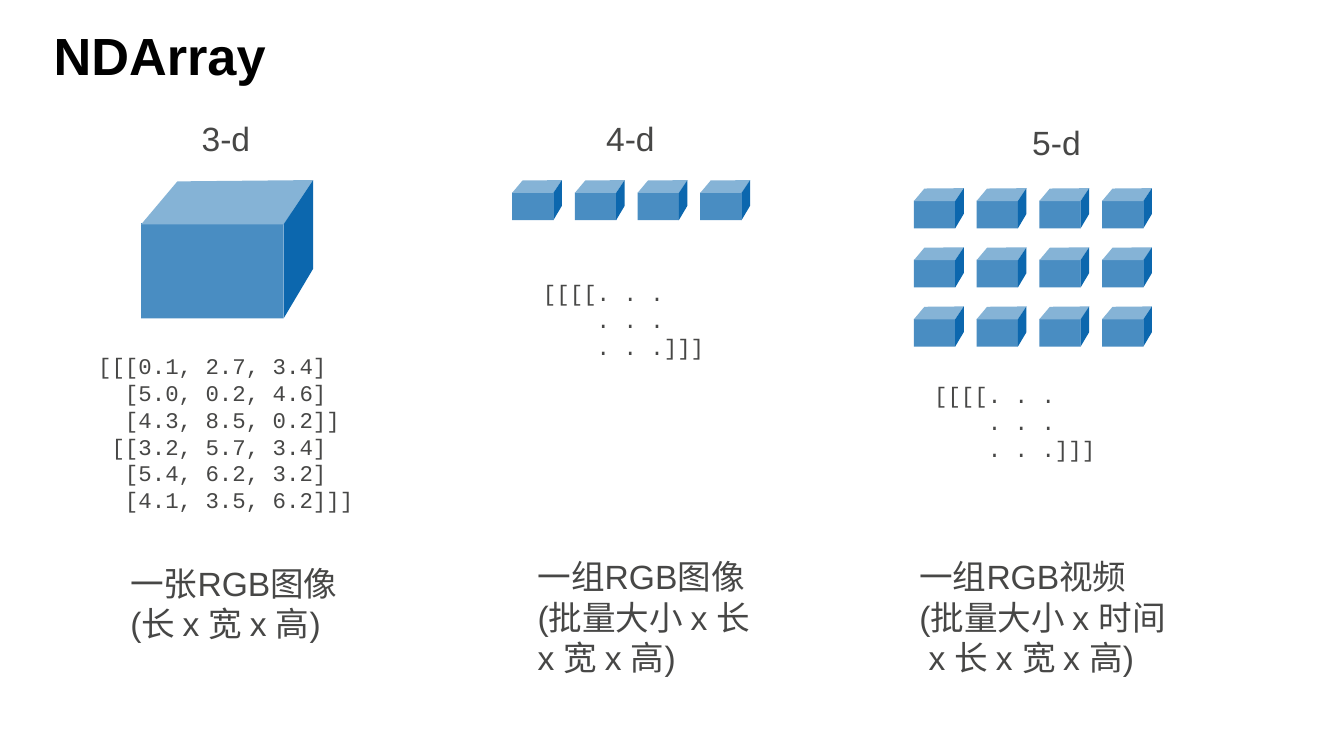
from pptx import Presentation as Deck
from pptx.dml.color import RGBColor as Rgb
from pptx.enum.shapes import MSO_SHAPE as Kind
from pptx.enum.text import MSO_ANCHOR as Anchor, MSO_AUTO_SIZE as Fit
from pptx.util import Inches, Pt


def color(code):
    return Rgb.from_string(code)


class Page:
    ink = "474746"
    front = "498DC2"
    top = "85B3D6"
    side = "0C67AE"
    sans = "Arial"
    mono = "Courier New"

    def __init__(self, slide):
        self.slide = slide

    def text(self, box, lines, size=18, font=sans, ink=ink, bold=False, wrap=False):
        frame = self.slide.shapes.add_textbox(*map(Inches, box)).text_frame
        frame.word_wrap = wrap
        frame.auto_size = Fit.NONE
        frame.margin_left = frame.margin_right = Inches(0.05)
        frame.margin_top = frame.margin_bottom = Inches(0.05)
        for i, line in enumerate(lines):
            para = frame.add_paragraph() if i else frame.paragraphs[0]
            run = para.add_run()
            run.text = line
            run.font.size = Pt(size)
            run.font.name = font
            run.font.bold = bold
            run.font.color.rgb = color(ink)
        return frame

    def title(self, box, words):
        frame = self.text(box, [words], 28, ink="000000", bold=True, wrap=True)
        frame.vertical_anchor = Anchor.MIDDLE

    def label(self, left, top, words):
        self.text((left, top, 0.48, 0.38), [words])

    def code(self, box, lines):
        self.text(box, lines, 12, self.mono)

    def note(self, box, lines):
        self.text(box, lines, wrap=True)

    def paint(self, shape, fill):
        shape.shadow.inherit = False
        shape.fill.solid()
        shape.fill.fore_color.rgb = color(fill)
        shape.line.fill.background()

    def face(self, group, points, fill):
        dots = [(Inches(x), Inches(y)) for x, y in points]
        path = group.shapes.build_freeform(*dots[0])
        path.add_line_segments(dots[1:], close=True)
        self.paint(path.convert_to_shape(), fill)

    def cube(self, group, left, top, scale):
        def spot(x, y):
            return left + x * scale, top + y * scale

        size = Inches(1.06 * scale), Inches(0.71 * scale)
        rect = group.shapes.add_shape(Kind.RECTANGLE, *map(Inches, spot(0, 0.32)), *size)
        self.paint(rect, self.front)
        near, far = spot(1.06, 0.33), spot(1.28, 0)
        self.face(group, [spot(0, 0.33), near, far, spot(0.27, 0.01)], self.top)
        self.face(group, [far, near, spot(1.06, 1.03), spot(1.28, 0.66)], self.side)

    def cubes(self, left, top, rows=1, cols=1, scale=1.0):
        group = self.slide.shapes.add_group_shape()
        for row in range(rows):
            for col in range(cols):
                self.cube(group, left + col * 1.4 / 3, top + row * 0.44, scale)


def main():
    deck = Deck()
    deck.slide_width, deck.slide_height = Inches(10), Inches(10 * 9 / 16)
    page = Page(deck.slides.add_slide(deck.slide_layouts[6]))
    page.title((0.35, 0.11, 8.97, 0.6), "NDArray")

    page.cubes(1.05, 1.34)
    page.label(1.45, 0.83, "3-d")
    page.code((0.68, 2.57, 2.01, 1.42), [
        "[[[0.1, 2.7, 3.4]",
        "  [5.0, 0.2, 4.6]",
        "  [4.3, 8.5, 0.2]]",
        " [[3.2, 5.7, 3.4]",
        "  [5.4, 6.2, 3.2]",
        "  [4.1, 3.5, 6.2]]]",
    ])
    page.note((0.92, 4.14, 1.77, 0.71), ["一张RGB图像", "(长 x 宽 x 高)"])

    dots = ["[[[[. . .", "    . . .", "    . . .]]]"]
    page.label(4.46, 0.83, "4-d")
    page.cubes(3.81, 1.34, cols=4, scale=0.29)
    page.code((3.99, 2.03, 1.41, 0.97), dots)
    page.note((3.95, 4.09, 1.77, 1.01), ["一组RGB图像", "(批量大小 x 长 x 宽 x 高)"])

    page.label(7.63, 0.86, "5-d")
    page.cubes(6.8, 1.4, rows=3, cols=4, scale=0.29)
    page.code((6.9, 2.79, 1.41, 0.97), dots)
    page.note((6.79, 4.09, 2.49, 1.01), ["一组RGB视频", "(批量大小 x 时间", " x 长 x 宽 x 高)"])
    deck.save("out.pptx")


if __name__ == "__main__":
    main()
